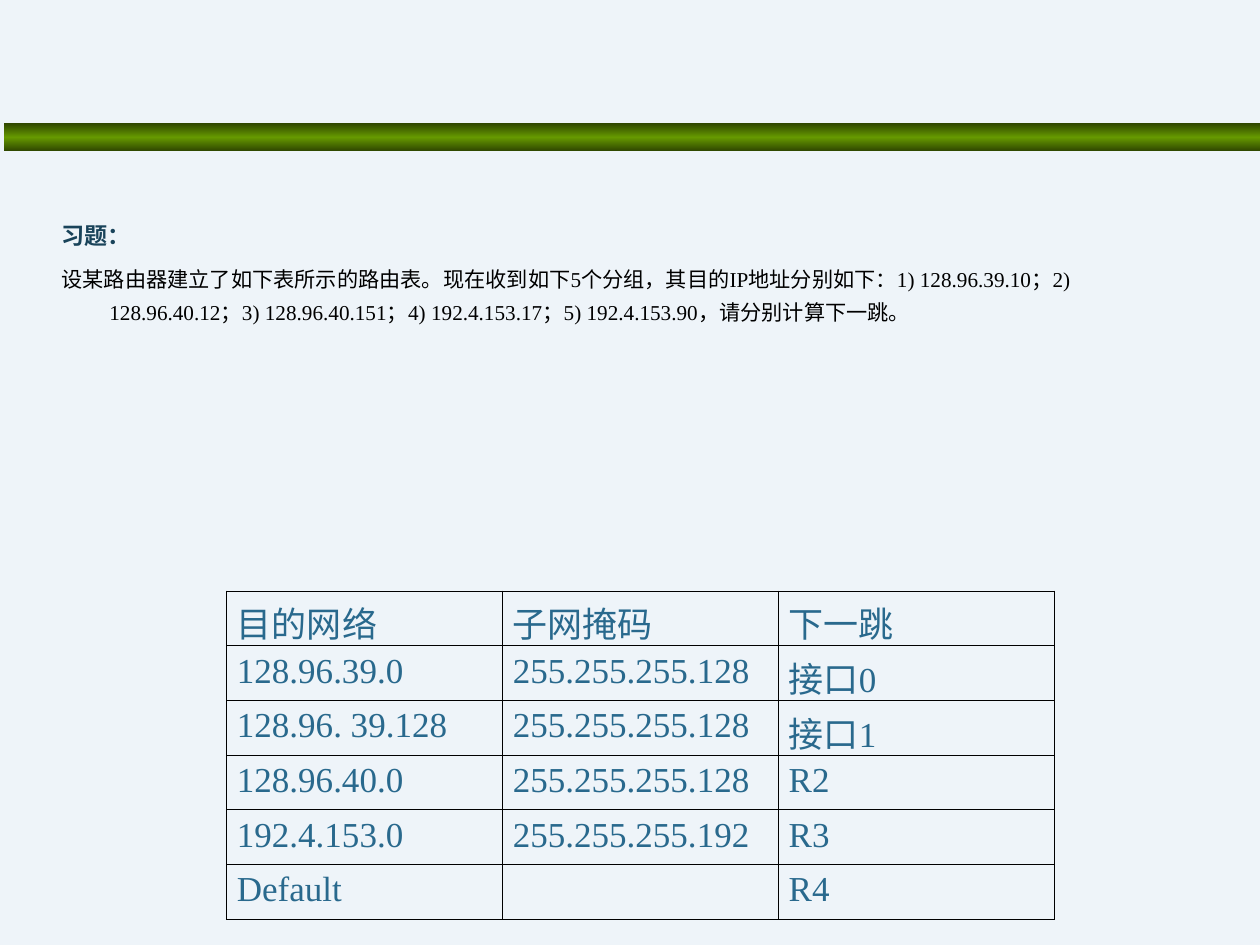
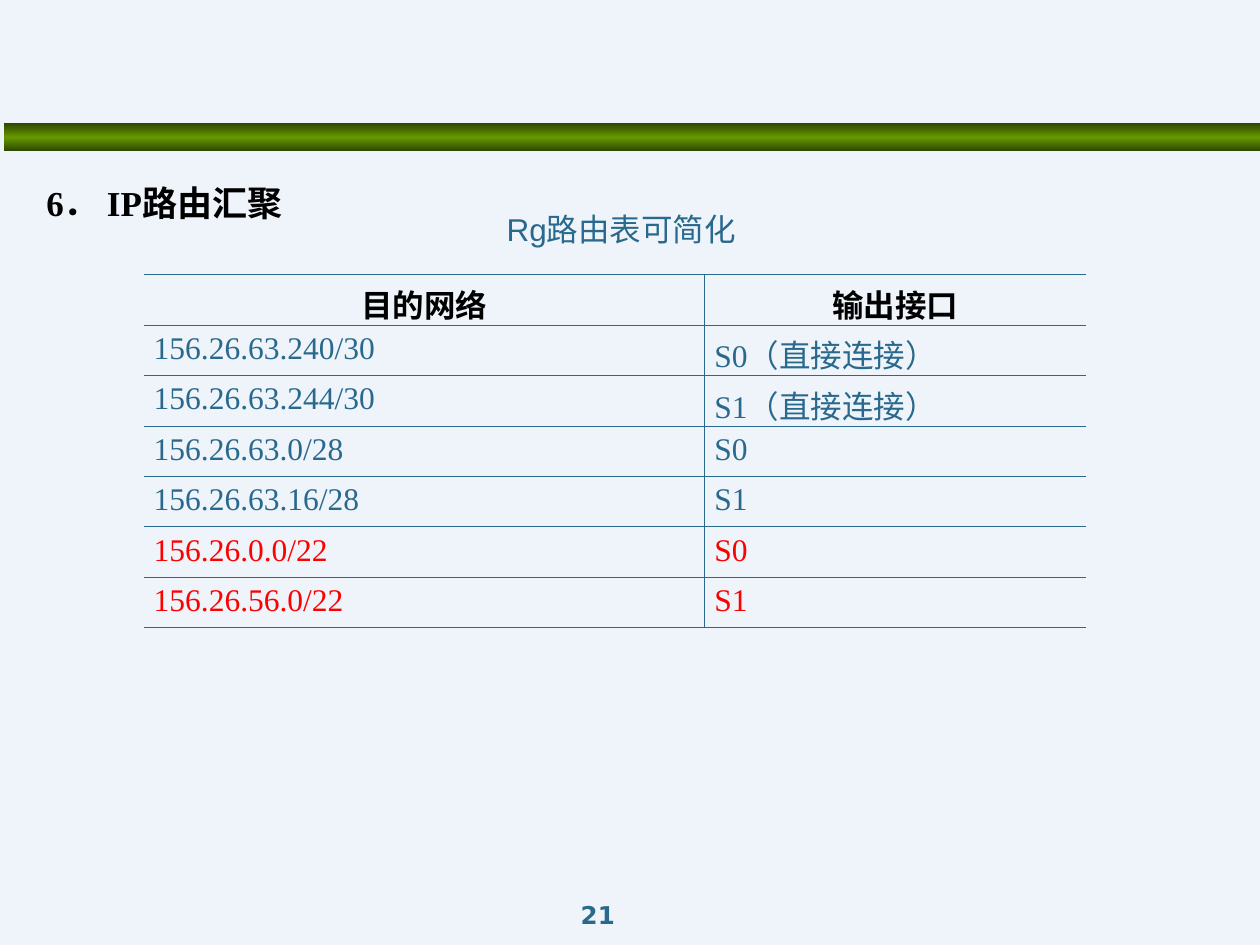
from lxml.etree import SubElement
from pptx import Presentation
from pptx.dml.color import RGBColor
from pptx.enum.shapes import MSO_SHAPE as SHAPE
from pptx.enum.text import PP_ALIGN as ALIGN
from pptx.oxml import parse_xml
from pptx.oxml.ns import nsdecls, qn
from pptx.util import Inches, Pt

BACK, BLUE, NAVY, BLACK, RED = "EEF4F9", "29698D", "19435A", "000000", "FF0000"
BAND_STOPS = [(0, "2F4700"), (50, "669900"), (100, "2F4700")]
SERIF = "Times New Roman"
HANG = 0.38

EXERCISE = "习题："
QUESTION = ("设某路由器建立了如下表所示的路由表。现在收到如下5个分组，其目的IP地址分别如下："
            "1) 128.96.39.10；2) 128.96.40.12；3) 128.96.40.151；4) 192.4.153.17；"
            "5) 192.4.153.90，请分别计算下一跳。")
HOPS = [
    ("目的网络", "子网掩码", "下一跳"),
    ("128.96.39.0", "255.255.255.128", "接口0"),
    ("128.96. 39.128", "255.255.255.128", "接口1"),
    ("128.96.40.0", "255.255.255.128", "R2"),
    ("192.4.153.0", "255.255.255.192", "R3"),
    ("Default", "", "R4"),
]

HEADING = "6． IP路由汇聚"
CAPTION = "Rg路由表可简化"
ROUTES = [
    ("目的网络", "输出接口"),
    ("156.26.63.240/30", "S0（直接连接）"),
    ("156.26.63.244/30", "S1（直接连接）"),
    ("156.26.63.0/28", "S0"),
    ("156.26.63.16/28", "S1"),
    ("156.26.0.0/22", "S0"),
    ("156.26.56.0/22", "S1"),
]
MERGED_FROM = 5  # first row of the aggregated routes
PAGE = "21"


def rgb(color):
    return RGBColor.from_string(color)


def style(p, size, color, bold=False, font=SERIF, align=None):
    p.alignment = align
    f = p.font
    f.size, f.bold, f.name = Pt(size), bold, font
    f.color.rgb = rgb(color)


def add_slide(prs):
    """Add a blank slide with the green band."""
    s = prs.slides.add_slide(prs.slide_layouts[6])
    band = s.shapes.add_shape(SHAPE.RECTANGLE, *map(Inches, (0.03, 0.98, 10, 0.22)))
    band.shadow.inherit = False
    band.line.fill.background()
    band.fill.gradient()
    band.fill.gradient_angle = 90
    stops = band._element.spPr.find(".//" + qn("a:gsLst"))
    for old in list(stops):
        stops.remove(old)
    for pos, color in BAND_STOPS:
        stop = SubElement(stops, qn("a:gs"), pos=str(pos * 1000))
        SubElement(stop, qn("a:srgbClr"), val=color)
    return s


def add_text(s, box, lines, wrap=True, hang=0, spacing=None):
    """Each line is (text, space before, style settings)."""
    tf = s.shapes.add_textbox(*map(Inches, box)).text_frame
    tf.word_wrap = wrap
    for i, (text, before, look) in enumerate(lines):
        p = tf.paragraphs[0] if i == 0 else tf.add_paragraph()
        p.text = text
        if hang:
            pPr = p._p.get_or_add_pPr()
            pPr.set("marL", str(Inches(hang)))
            pPr.set("indent", str(-Inches(hang)))
        if spacing:
            p.line_spacing = spacing
        if before:
            p.space_before = Pt(before)
        style(p, **look)


def set_borders(cell, color, sides):
    tcPr = cell._tc.get_or_add_tcPr()
    for i, side in enumerate("LRTB"):
        paint = (f'<a:solidFill><a:srgbClr val="{color}"/></a:solidFill>'
                 if side in sides else "<a:noFill/>")
        tcPr.insert(i, parse_xml(
            f'<a:ln{side} {nsdecls("a")} w="{Pt(0.45)}">{paint}</a:ln{side}>'))


def add_grid(s, left, top, widths, height, rows, line, look, open_sides=False, bottom=0.05):
    """Draw a table; look(row) gives the style of that row's text."""
    n = len(widths)
    table = s.shapes.add_table(len(rows), n, Inches(left), Inches(top),
                               Inches(sum(widths)), Inches(height * len(rows))).table
    table.first_row = table.horz_banding = False
    for col, width in zip(table.columns, widths):
        col.width = Inches(width)
    for r, row in enumerate(rows):
        table.rows[r].height = Inches(height)
        for c, text in enumerate(row):
            cell = table.cell(r, c)
            cell.margin_left = cell.margin_right = Inches(0.08)
            cell.margin_top, cell.margin_bottom = Inches(0.05), Inches(bottom)
            cell.fill.background()
            sides = "TB"
            if c > 0 or not open_sides:
                sides += "L"
            if c < n - 1 or not open_sides:
                sides += "R"
            set_borders(cell, line, sides)
            p = cell.text_frame.paragraphs[0]
            p.text = text
            style(p, **look(r))


def hop_look(row):
    return dict(size=20, color=BLUE, align=ALIGN.JUSTIFY)


def route_look(row):
    if row == 0:
        return dict(size=18, color=BLACK, bold=True, align=ALIGN.CENTER)
    return dict(size=18, color=RED if row >= MERGED_FROM else BLUE, align=ALIGN.JUSTIFY)


def exercise_slide(prs):
    s = add_slide(prs)
    add_text(s, (0.39, 1.64, 9, 1.18), [
        (EXERCISE, 0, dict(size=13.2, color=NAVY, bold=True)),
        (QUESTION, 5.5, dict(size=12.1, color=BLACK)),
    ], hang=HANG, spacing=1.3)
    add_grid(s, 1.8, 4.69, [2.19] * 3, 0.36, HOPS, BLACK, hop_look)


def aggregation_slide(prs):
    s = add_slide(prs)
    add_text(s, (0.27, 1.39, 4.65, 0.87),
             [(HEADING, 0, dict(size=20, color=BLACK, bold=True))], hang=HANG)
    add_grid(s, 1.14, 2.18, [4.45, 3.03], 0.4, ROUTES, BLUE, route_look,
             open_sides=True, bottom=0)
    add_text(s, (3.89, 1.62, 2.08, 0.4),
             [(CAPTION, 0, dict(size=18, color=BLUE, font="Arial", align=ALIGN.CENTER))],
             wrap=False)
    add_text(s, (3.58, 7.09, 2.33, 0.32),
             [(PAGE, 0, dict(size=14, color=BLUE, bold=True, font="DejaVu Sans",
                             align=ALIGN.CENTER))])


def main():
    prs = Presentation()
    prs.slide_width, prs.slide_height = Inches(10), Inches(7.5)
    back = prs.slide_master.background.fill
    back.solid()
    back.fore_color.rgb = rgb(BACK)
    exercise_slide(prs)
    aggregation_slide(prs)
    prs.save("out.pptx")


if __name__ == "__main__":
    main()
